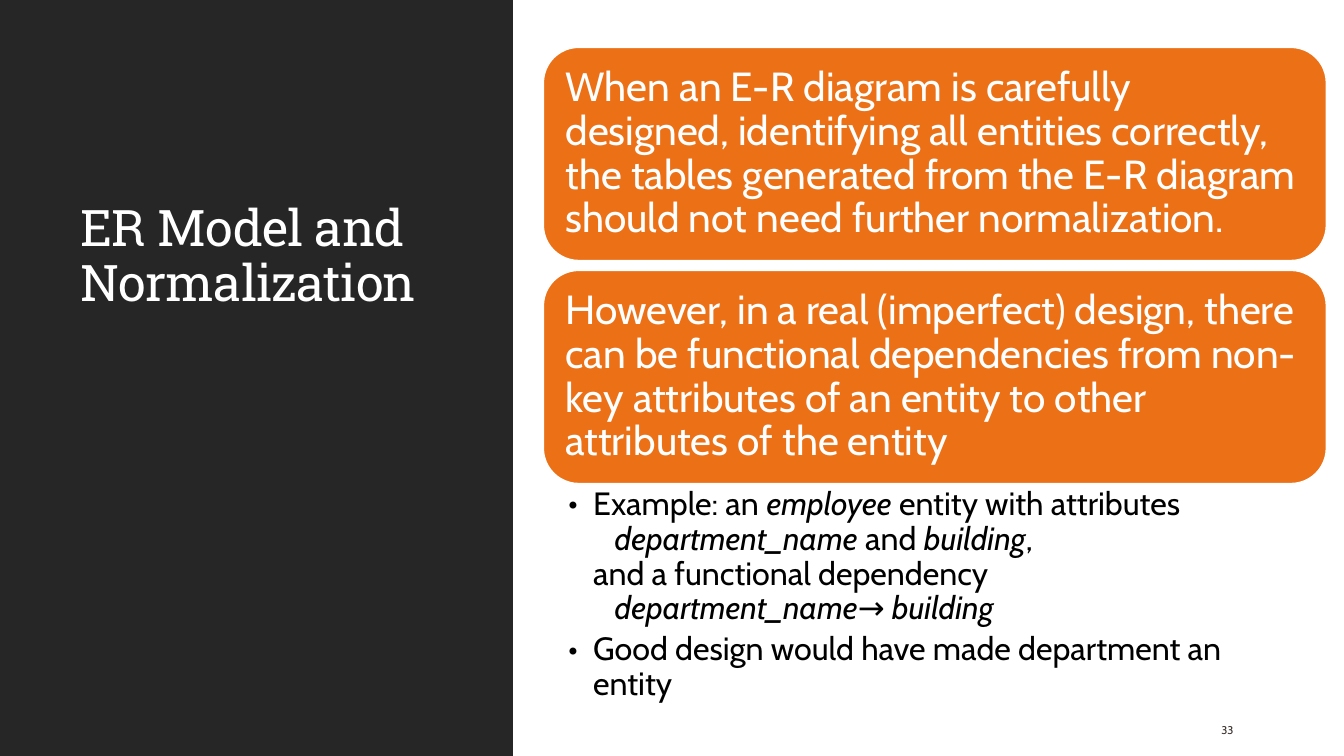
from pptx import Presentation
from pptx.dml.color import RGBColor
from pptx.enum.shapes import MSO_SHAPE as Shape
from pptx.enum.text import MSO_ANCHOR as Anchor
from pptx.util import Cm, Pt
from lxml.etree import SubElement
from pptx.oxml.ns import qn

COLORS = {"panel": "262626", "card": "EC7016", "white": "FFFFFF",
          "text": "000000", "number": "39302A"}
HEAD_FONT, BODY_FONT = "Roboto Slab", "Cabin"

TITLE = "ER Model and Normalization"
PAGE_NUMBER = "33"
CARDS = [
    "When an E-R diagram is carefully designed, identifying all entities correctly, "
    "the tables generated from the E-R diagram should not need further normalization.",
    "However, in a real (imperfect) design, there can be functional dependencies from "
    "non-key attributes of an entity to other attributes of the entity",
]
POINTS = [
    [
        (0, [("Example: an ", False), ("employee", True), (" entity with attributes", False)]),
        (1, [("department_name ", True), ("and ", False), ("building", True), (",", False)]),
        (0, [("and a functional dependency", False)]),
        (1, [("department_name→ building", True)]),
    ],
    [(0, [("Good design would have made department an entity", False)])],
]

CARD_LEFT, CARD_TOP, CARD_WIDTH, CARD_HEIGHT, CARD_GAP = 13.69, 1.19, 19.74, 5.38, 0.24
CARD_STEP = CARD_HEIGHT + CARD_GAP
LIST_TOP = CARD_TOP + len(CARDS) * CARD_STEP - CARD_GAP
BULLET_INDENT, EXTRA_INDENT = 0.63, 0.54


def color(name):
    return RGBColor.from_string(COLORS[name])


def add_box(page, left, top, width, height):
    return page.shapes.add_textbox(Cm(left), Cm(top), Cm(width), Cm(height))


def add_block(page, kind, left, top, width, height, fill):
    block = page.shapes.add_shape(kind, Cm(left), Cm(top), Cm(width), Cm(height))
    block.shadow.inherit = False
    block.fill.solid()
    block.fill.fore_color.rgb = color(fill)
    block.line.fill.background()
    return block


def set_frame(box, anchor, left, top, right):
    frame = box.text_frame
    frame.word_wrap = True
    frame.vertical_anchor = anchor
    frame.margin_left, frame.margin_right = Cm(left), Cm(right)
    frame.margin_top = frame.margin_bottom = Cm(top)
    return frame


def add_span(para, text, font, size, fill, italic=False):
    para.line_spacing = 0.9
    span = para.add_run()
    span.text = text
    span.font.name = font
    span.font.size = Pt(size)
    span.font.italic = italic
    span.font.color.rgb = color(fill)
    return span


def set_indent(para, level, bullet):
    props = para._p.get_or_add_pPr()
    props.set("marL", str(Cm(BULLET_INDENT + level * EXTRA_INDENT)))
    props.set("indent", str(-Cm(BULLET_INDENT) if bullet else 0))
    if bullet:
        SubElement(props, qn("a:buFont")).set("typeface", BODY_FONT)
        SubElement(props, qn("a:buChar")).set("char", "•")
    else:
        SubElement(props, qn("a:buNone"))


def add_points(page):
    box = add_box(page, CARD_LEFT, LIST_TOP, CARD_WIDTH, 4.67)
    frame = set_frame(box, Anchor.TOP, 0.63, 0.1, 0.58)
    para = None
    for lines in POINTS:
        for row, (level, spans) in enumerate(lines):
            para = frame.add_paragraph() if para else frame.paragraphs[0]
            para.space_after = Pt(4.6 if row == len(lines) - 1 else 0)
            for text, italic in spans:
                add_span(para, text, BODY_FONT, 23, "text", italic)
            set_indent(para, level, row == 0)


def main():
    deck = Presentation()
    deck.slide_width, deck.slide_height = Cm(33.87), Cm(19.05)
    page = deck.slides.add_slide(deck.slide_layouts[6])

    add_block(page, Shape.RECTANGLE, 0, 0, 12.93, 19.05, "panel")

    title = set_frame(add_box(page, 1.78, 2.18, 9.78, 5.82), Anchor.BOTTOM, 0.25, 0.13, 0.25)
    span = add_span(title.paragraphs[0], TITLE, HEAD_FONT, 36, "white")
    span.font._element.set("spc", "-50")

    number = set_frame(add_box(page, 30.53, 17.91, 2.16, 1.02), Anchor.MIDDLE, 0.25, 0.13, 0.25)
    add_span(number.paragraphs[0], PAGE_NUMBER, BODY_FONT, 8, "number")

    for index, text in enumerate(CARDS):
        card = add_block(page, Shape.ROUNDED_RECTANGLE, CARD_LEFT,
                         CARD_TOP + index * CARD_STEP, CARD_WIDTH, CARD_HEIGHT, "card")
        card.line.color.rgb = color("white")
        card.line.width = Pt(1.25)
        para = set_frame(card, Anchor.MIDDLE, 0.3, 0.3, 0.3).paragraphs[0]
        para.alignment = 1
        add_span(para, text, BODY_FONT, 29, "white")

    add_points(page)
    deck.save("out.pptx")


if __name__ == "__main__":
    main()
